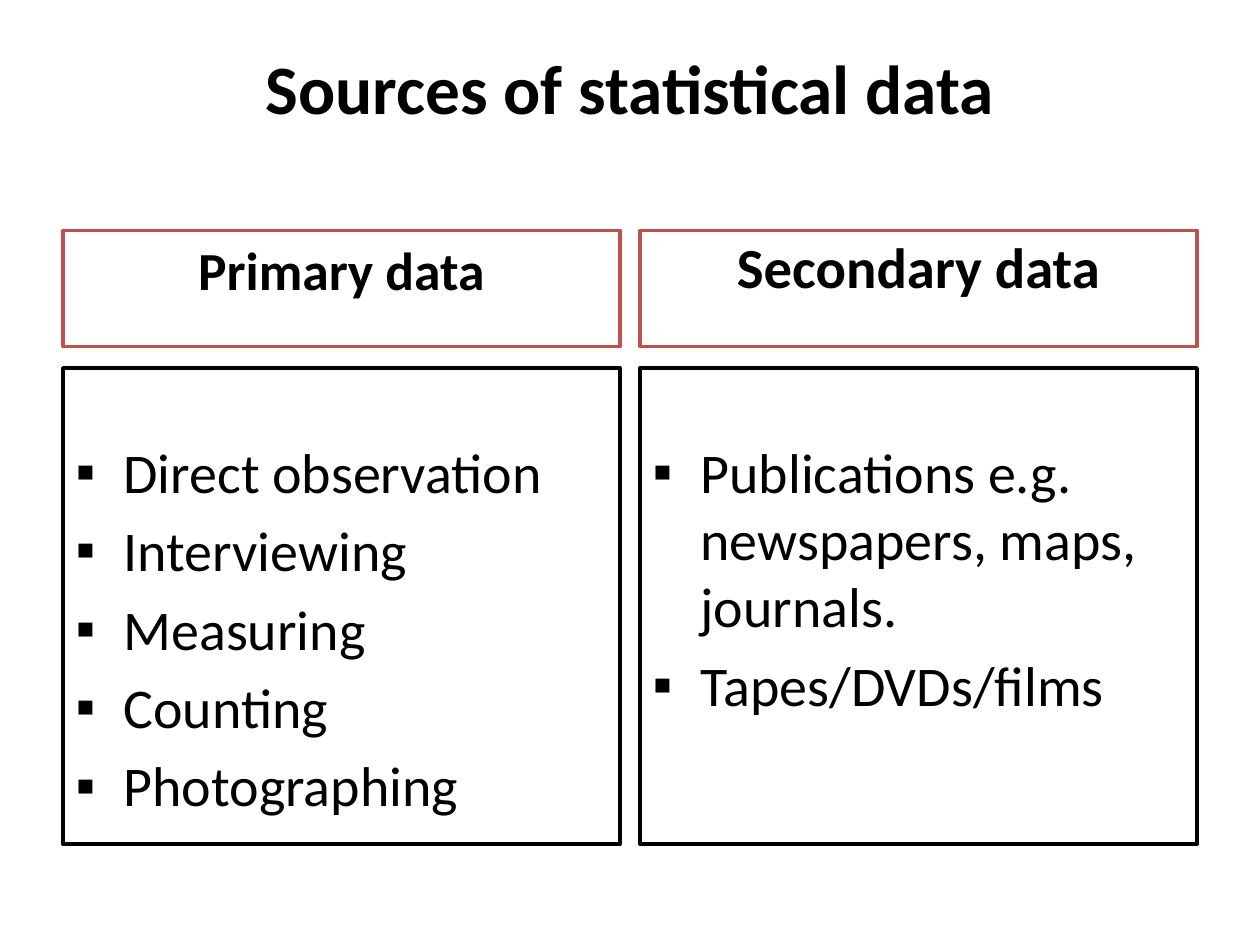
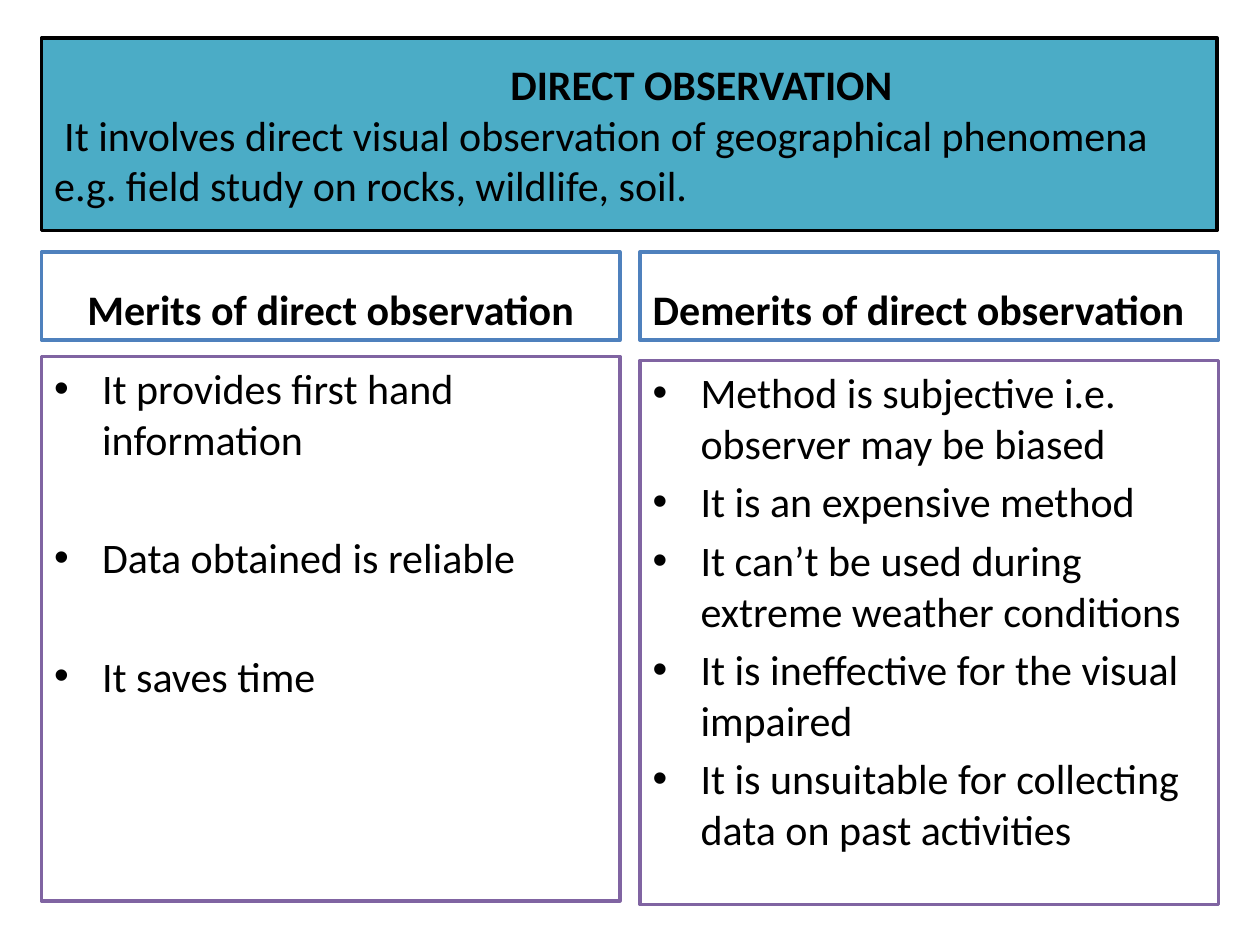
from lxml.etree import SubElement
from pptx import Presentation
from pptx.dml.color import RGBColor
from pptx.enum.text import MSO_ANCHOR, MSO_AUTO_SIZE, PP_ALIGN
from pptx.oxml.ns import qn
from pptx.util import Emu, Pt

EMU_PER_PX = 9144
FONT = "Calibri"
COLORS = {
    "text": "000000",
    "white": "FFFFFF",
    "red": "C0504D",
    "teal": "4BACC6",
    "blue": "4F81BD",
    "purple": "8064A2",
}
RIGHT_X = 508
HANG = 38
TITLE, LEFT_HEAD, LEFT_LIST, RIGHT_HEAD, RIGHT_LIST = range(5)


def px(n):
    return Emu(n * EMU_PER_PX)


def rgb(name):
    return RGBColor.from_string(COLORS[name])


def place(s, idx, box, fill=None, line=None, anchor=MSO_ANCHOR.TOP, top=5, bottom=5):
    sp = s.placeholders[idx]
    sp.left, sp.top, sp.width, sp.height = map(px, box)
    if fill:
        sp.fill.solid()
        sp.fill.fore_color.rgb = rgb(fill)
    if line:
        sp.line.color.rgb = rgb(line)
        sp.line.width = Pt(2)
    tf = sp.text_frame
    tf.word_wrap = True
    tf.auto_size = MSO_AUTO_SIZE.NONE
    tf.vertical_anchor = anchor
    tf.margin_left = tf.margin_right = px(10)
    tf.margin_top, tf.margin_bottom = px(top), px(bottom)
    return tf


def add_text(tf, text, size=24, bold=False, align=PP_ALIGN.LEFT, before=0,
             margin=0, indent=0, bullet=None):
    p = tf.paragraphs[0] if not tf.text else tf.add_paragraph()
    p.alignment = align
    p.space_before = Pt(before)
    pPr = p._p.get_or_add_pPr()
    pPr.set("marL", str(px(margin)))
    pPr.set("indent", str(px(indent)))
    if bullet:
        SubElement(pPr, qn("a:buFont"), typeface="Arial")
        SubElement(pPr, qn("a:buChar"), char=bullet)
    else:
        SubElement(pPr, qn("a:buNone"))
    r = p.add_run()
    r.text = text
    r.font.name = FONT
    r.font.size = Pt(size)
    r.font.bold = bold
    r.font.color.rgb = rgb("text")


def add_heading(s, idx, box, text, line, size=24, align=PP_ALIGN.CENTER, top=5, bottom=5):
    tf = place(s, idx, box, "white", line, MSO_ANCHOR.BOTTOM, top, bottom)
    add_text(tf, text, size=size, bold=True, align=align)


def add_list(s, idx, box, items, line, bullet="•", size=24, gap=4.8, top=5):
    tf = place(s, idx, box, "white", line, top=top)
    for i, item in enumerate(items):
        add_text(tf, item, size=size, before=gap if i else 0,
                 margin=HANG, indent=-HANG, bullet=bullet)


def sources_slide(s):
    tf = place(s, TITLE, (50, 30, 900, 78), anchor=MSO_ANCHOR.MIDDLE)
    add_text(tf, "Sources of statistical data", size=39.6, bold=True, align=PP_ALIGN.CENTER)
    columns = [
        (50, LEFT_HEAD, LEFT_LIST, "Primary data", 30.6, 36,
         ["Direct observation", "Interviewing", "Measuring", "Counting", "Photographing"]),
        (RIGHT_X, RIGHT_HEAD, RIGHT_LIST, "Secondary data", 32.4, 37,
         ["Publications e.g. newspapers, maps, journals.", "Tapes/DVDs/films"]),
    ]
    for x, head, body, heading, size, bottom, items in columns:
        add_heading(s, head, (x, 183, 442, 92), heading, "red", size, top=0, bottom=bottom)
        add_list(s, body, (x, 292, 442, 378), items, "text", "▪", 32, 6.4, top=55)


def observation_slide(s):
    tf = place(s, TITLE, (33, 30, 933, 153), "teal", "text", MSO_ANCHOR.MIDDLE)
    add_text(tf, "DIRECT OBSERVATION", bold=True, margin=362)
    add_text(tf, "It involves direct visual observation of geographical phenomena "
                 "e.g. field study on rocks, wildlife, soil.", indent=8)
    columns = [
        (33, LEFT_HEAD, LEFT_LIST, "Merits of direct observation", PP_ALIGN.CENTER, 283, 38.9,
         ["It provides first hand information", "Data obtained is reliable", "It saves time"]),
        (RIGHT_X, RIGHT_HEAD, RIGHT_LIST, "Demerits of direct observation", PP_ALIGN.LEFT, 286, 4.8,
         ["Method is subjective i.e. observer may be biased",
          "It is an expensive method",
          "It can’t be used during extreme weather conditions",
          "It is ineffective for the visual impaired",
          "It is unsuitable for collecting data on past activities"]),
    ]
    for x, head, body, heading, align, y, gap, items in columns:
        add_heading(s, head, (x, 200, 459, 70), heading, "blue", align=align)
        add_list(s, body, (x, y, 459, 432), items, "purple", gap=gap)


def main():
    prs = Presentation()
    prs.slide_width, prs.slide_height = px(1000), px(750)
    comparison = prs.slide_layouts.get_by_name("Comparison")
    for build in (sources_slide, observation_slide):
        build(prs.slides.add_slide(comparison))
    prs.save("out.pptx")


if __name__ == "__main__":
    main()
